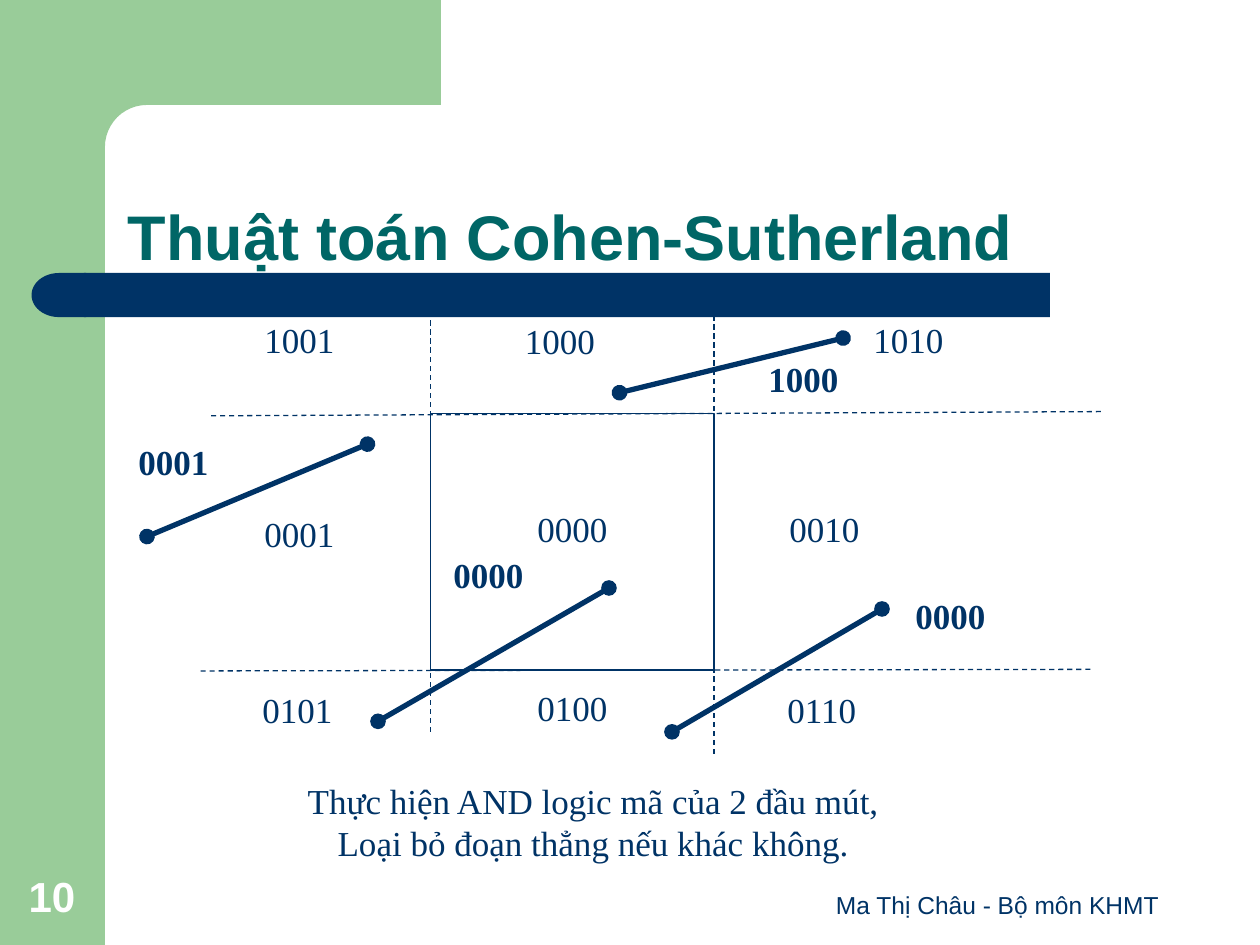
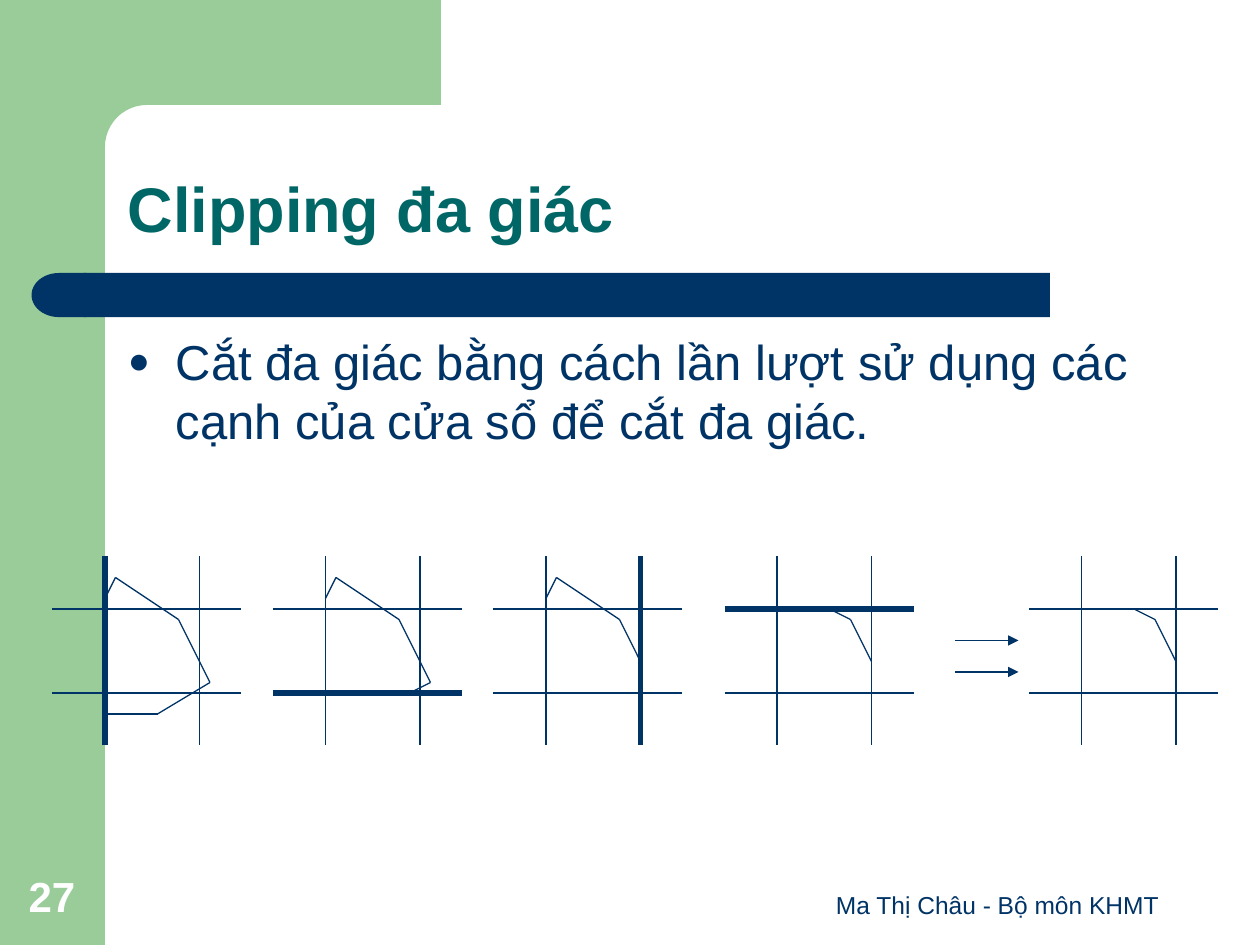
from itertools import pairwise
from math import cos, pi, sin

from lxml import etree
from pptx import Presentation
from pptx.dml.color import RGBColor
from pptx.enum.dml import MSO_LINE
from pptx.enum.shapes import MSO_CONNECTOR, MSO_SHAPE
from pptx.enum.text import MSO_ANCHOR, PP_ALIGN
from pptx.oxml.ns import qn
from pptx.util import Inches, Pt

RECTANGLE = MSO_SHAPE.RECTANGLE
ROUND_CAP = MSO_SHAPE.FLOWCHART_DELAY
STRAIGHT = MSO_CONNECTOR.STRAIGHT
DASH = MSO_LINE.DASH
TOP, BOTTOM = MSO_ANCHOR.TOP, MSO_ANCHOR.BOTTOM
LEFT, CENTER = PP_ALIGN.LEFT, PP_ALIGN.CENTER

COLORS = {"navy": "003366", "green": "99CC99", "teal": "006666", "white": "FFFFFF"}
RGB = {name: RGBColor.from_string(value) for name, value in COLORS.items()}
FORMATS = {
    "title": {"name": "Arial", "size": Pt(36), "bold": True},
    "body": {"name": "Arial", "size": Pt(28)},
    "footer": {"name": "Arial", "size": Pt(14)},
    "number": {"name": "Arial", "size": Pt(24), "bold": True},
    "code": {"name": "Times New Roman", "size": Pt(20)},
    "result": {"name": "Times New Roman", "size": Pt(20), "bold": True},
}

presentation = Presentation()
presentation.slide_width = Inches(10)
presentation.slide_height = Inches(7.5)
# The slide is a grid of 120 columns by 90 rows of square cells
CELL = presentation.slide_width // 120


def add_text(slide, box, lines, style, color="navy", align=LEFT, anchor=TOP, wrap=True):
    shape = slide.shapes.add_textbox(*(round(value * CELL) for value in box))
    frame = shape.text_frame
    frame.word_wrap = wrap
    frame.vertical_anchor = anchor
    frame.text = lines
    for paragraph in frame.paragraphs:
        paragraph.alignment = align
        for run in paragraph.runs:
            for attribute, value in FORMATS[style].items():
                setattr(run.font, attribute, value)
            run.font.color.rgb = RGB[color]
    return frame.paragraphs[0]


def add_line(slide, ends, width=0.75, dash=None, head=None, tail=None):
    line = slide.shapes.add_connector(STRAIGHT, *(round(value * CELL) for value in ends))
    line.line.color.rgb = RGB["navy"]
    line.line.width = Pt(width)
    if dash:
        line.line.dash_style = dash
    for tag, kind in (("a:headEnd", head), ("a:tailEnd", tail)):
        if kind:
            etree.SubElement(line.line._get_or_add_ln(), qn(tag), type=kind)
    etree.SubElement(line._element.spPr, qn("a:effectLst"))


# Shared frame: side band, rounded corner, title bar, title, footer, number
BANDS = [
    (RECTANGLE, (0, 0, 10, 90), "green", 0),
    (RECTANGLE, (8, 26, 92, 4.2), "navy", 0),
    (ROUND_CAP, (3, 26, 5.2, 4.2), "navy", 180),
]
ARC_STEPS = 12
arc = [(14 - 4 * sin(step * pi / 2 / ARC_STEPS), 14 - 4 * cos(step * pi / 2 / ARC_STEPS))
       for step in range(ARC_STEPS + 1)]
corner = [(42, 0), (42, 10), *arc, (10, 15.4), (6, 15.4), (6, 0)]
corner = [(round(x * CELL), round(y * CELL)) for x, y in corner]

slides = []
for title, title_row, number in [
    ("Thuật toán Cohen-Sutherland", 13.6, "10"),
    ("Clipping đa giác", 10.9, "27"),
]:
    slide = presentation.slides.add_slide(presentation.slide_layouts[6])
    slides.append(slide)
    builder = slide.shapes.build_freeform(*corner[0])
    builder.add_line_segments(corner[1:], close=True)
    painted = [(builder.convert_to_shape(), "green")]
    for kind, box, color, rotation in BANDS:
        shape = slide.shapes.add_shape(kind, *(round(value * CELL) for value in box))
        shape.rotation = rotation
        painted.append((shape, color))
    for shape, color in painted:
        shape.shadow.inherit = False
        shape.fill.solid()
        shape.fill.fore_color.rgb = RGB[color]
        shape.line.fill.background()
    add_text(slide, (76, 82, 38, 6.2), "Ma Thị Châu - Bộ môn KHMT", "footer",
             align=CENTER, anchor=BOTTOM)
    add_text(slide, (1.55, 82, 7.7, 6.3), number, "number", "white", anchor=BOTTOM)
    heading = add_text(slide, (11, title_row, 102, 13.1), title, "title", "teal",
                       anchor=BOTTOM)
    heading.line_spacing = 0.9

coding_slide, clipping_slide = slides

# Slide 1: clipping window and the extended window edges
windows = [(coding_slide, (41, 39.4, 27, 24.4))]
for edge in [
    (41, 69.7, 41, 27.7),
    (20.1, 39.6, 104.9, 39.2),
    (19.1, 63.9, 103.9, 63.75),
    (68, 71.8, 68, 27.8),
]:
    add_line(coding_slide, edge, dash=DASH)

# Slide 1: region codes and AND results
LABELS = {
    "code": [
        ("1001", 24, 29.7), ("1000", 48.8, 29.8), ("1010", 82, 29.7),
        ("0001", 24, 48.2), ("0000", 50, 47.7), ("0010", 74, 47.7),
        ("0101", 23.8, 65), ("0100", 50, 64.8), ("0110", 73.8, 65),
    ],
    "result": [
        ("1000", 72, 33.5), ("0000", 42, 52.1), ("0000", 86, 56), ("0001", 12, 41.4),
    ],
}
for style, labels in LABELS.items():
    for code, column, row in labels:
        add_text(coding_slide, (column, row, 9.2, 5.25), code, style, wrap=False)

# Slide 1: segments to test, and the rule
for segment in [
    (36, 68.7, 58, 56),
    (59, 37.4, 80.3, 32.2),
    (64, 69.7, 84, 58),
    (14, 51.1, 35, 42.3),
]:
    add_line(coding_slide, segment, 3, head="oval", tail="oval")
add_text(coding_slide, (28, 73.6, 57, 9.2),
         "Thực hiện AND logic mã của 2 đầu mút,\nLoại bỏ đoạn thẳng nếu khác không.",
         "code", align=CENTER, wrap=False)

# Slide 2: bulleted statement
statement = add_text(
    clipping_slide, (11, 31, 101, 16.7),
    "Cắt đa giác bằng cách lần lượt sử dụng các cạnh của cửa sổ để cắt đa giác.", "body")
properties = statement._p.get_or_add_pPr()
properties.set("marL", str(Inches(0.38)))
properties.set("indent", str(-Inches(0.38)))
bullet_color = etree.SubElement(properties, qn("a:buClr"))
etree.SubElement(bullet_color, qn("a:srgbClr"), val=COLORS["navy"])
etree.SubElement(properties, qn("a:buSzPct"), val="75000")
etree.SubElement(properties, qn("a:buFont"), typeface="Arial")
etree.SubElement(properties, qn("a:buChar"), char="●")

# Slide 2: stages as window column, edge widths (left, right, bottom, top) and
# outline points, with columns counted from the window's left edge
WINDOW_WIDTH, WINDOW_TOP, WINDOW_BOTTOM, OVERHANG = 9, 58, 66, 5
start = [(0, 57), (1, 55), (7, 59)]
remainder = [(5, 58), (7, 59), (9, 63)]
STAGES = [
    (10, (3, 0.75, 0.75, 0.75), start + [(10, 65), (5, 68), (0, 68)]),
    (31, (1, 0.75, 3, 0.75), start + [(10, 65), (8, 66)]),
    (52, (1, 3, 0.75, 0.75), start + [(9, 63)]),
    (74, (1, 0.75, 1, 3), remainder),
    (103, (1, 0.75, 1, 0.75), remainder),
]
for left, widths, outline in STAGES:
    right = left + WINDOW_WIDTH
    windows.append((clipping_slide,
                    (left, WINDOW_TOP, WINDOW_WIDTH, WINDOW_BOTTOM - WINDOW_TOP)))
    edges = [(x, WINDOW_TOP - OVERHANG, x, WINDOW_BOTTOM + OVERHANG) for x in (left, right)]
    edges += [(left - 5, y, right + 4, y) for y in (WINDOW_BOTTOM, WINDOW_TOP)]
    for edge, width in zip(edges, widths):
        add_line(clipping_slide, edge, width)
    for (x1, y1), (x2, y2) in pairwise(outline):
        add_line(clipping_slide, (left + x1, y1, left + x2, y2))

for row in (61, 64):
    add_line(clipping_slide, (91, row, 97, row), tail="triangle")

# Window outlines on both slides
for slide, box in windows:
    window = slide.shapes.add_shape(RECTANGLE, *(round(value * CELL) for value in box))
    window.shadow.inherit = False
    window.fill.background()
    window.line.color.rgb = RGB["navy"]
    window.line.width = Pt(0.75)

presentation.save("out.pptx")
